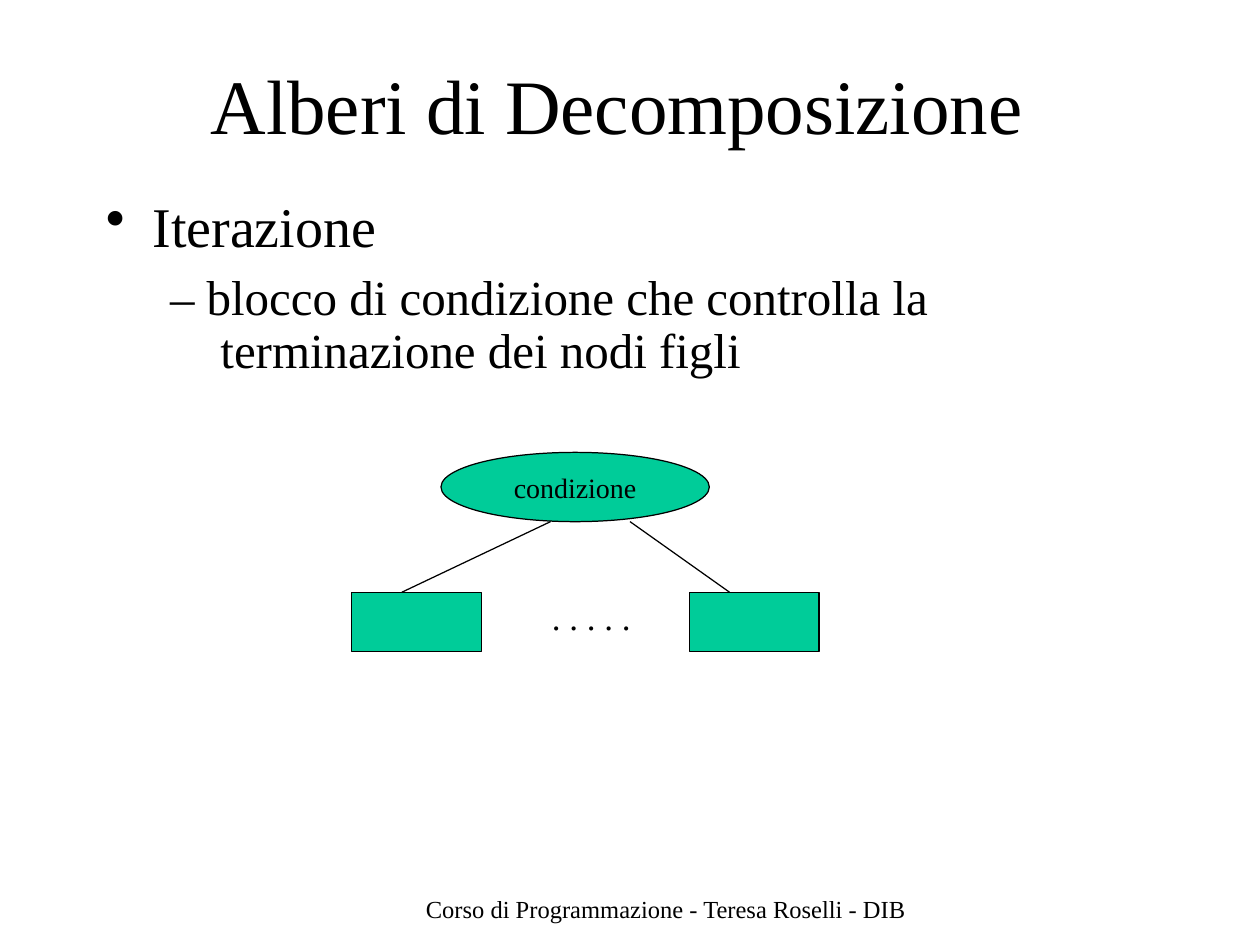
from dataclasses import dataclass

from lxml import etree
from pptx import Presentation, util as u
from pptx.dml.color import RGBColor
from pptx.enum import shapes, text
from pptx.oxml.ns import qn


@dataclass(frozen=True)
class Theme:
    """Colours, font and type sizes of the slide."""
    font: str = "Times New Roman"
    ink: RGBColor = RGBColor(0, 0, 0)
    node: RGBColor = RGBColor(0x00, 0xCC, 0x99)
    line: float = 0.72
    title: int = 44
    topic: int = 32
    detail: int = 28
    dots: int = 20
    label: int = 16
    footer: int = 14


class Deck:
    """Draws on one slide, on a grid of 100 columns by 75 rows."""

    def __init__(self, theme):
        """Start a presentation with one blank slide."""
        self.t = theme
        self.prs = Presentation()
        self.prs.slide_width, self.prs.slide_height = u.Inches(10), u.Inches(7.5)
        self.s = self.prs.slides.add_slide(self.prs.slide_layouts[6])

    def grid(self, *cells):
        """Turn column, row, column, row... into slide lengths."""
        units = self.prs.slide_width / 100, self.prs.slide_height / 75
        return [u.Emu(round(c * units[i % 2])) for i, c in enumerate(cells)]

    def frame(self, tf, wrap=False):
        """Remove the insets of a text frame and set wrapping."""
        tf.margin_left = tf.margin_right = tf.margin_top = tf.margin_bottom = 0
        tf.word_wrap = wrap

    def style(self, p, size, before=0, spacing=None):
        """Format a paragraph and its runs."""
        p.space_before = u.Pt(before)
        if spacing:
            p.line_spacing = u.Pt(spacing)
        for r in p.runs:
            r.font.name, r.font.size = self.t.font, u.Pt(size)
            r.font.color.rgb = self.t.ink

    def hang(self, p, left, first, bullet=None):
        """Give a paragraph a hanging indent in columns, and a bullet."""
        pPr = p._p.get_or_add_pPr()
        pPr.set("marL", str(self.grid(left)[0]))
        pPr.set("indent", str(self.grid(first)[0]))
        if bullet:
            etree.SubElement(pPr, qn("a:buChar")).set("char", bullet)

    def text(self, at, words, size, before=0, spacing=None):
        """Add a one-line text box."""
        tf = self.s.shapes.add_textbox(*self.grid(*at)).text_frame
        self.frame(tf)
        tf.text = words
        self.style(tf.paragraphs[0], size, before, spacing)

    def body(self, at, topic, detail):
        """Add a bulleted topic with a detail below it."""
        tf = self.s.shapes.add_textbox(*self.grid(*at)).text_frame
        self.frame(tf, wrap=True)
        tf.margin_top = self.grid(0, 0.7)[1]
        tf.text = f"{topic}\n{detail}"
        p, sub = tf.paragraphs
        self.style(p, self.t.topic, before=5.3)
        self.hang(p, 3.8, -3.7, "•")
        self.style(sub, self.t.detail, before=7.5, spacing=30.3)
        self.hang(sub, 9.2, -4)

    def node(self, kind, at, words=""):
        """Add an outlined node of the tree."""
        sp = self.s.shapes.add_shape(kind, *self.grid(*at))
        sp.shadow.inherit = False
        sp.fill.solid()
        sp.fill.fore_color.rgb = self.t.node
        sp.line.color.rgb, sp.line.width = self.t.ink, u.Pt(self.t.line)
        if words:
            tf = sp.text_frame
            self.frame(tf)
            tf.vertical_anchor = text.MSO_ANCHOR.MIDDLE
            tf.text = words
            tf.paragraphs[0].alignment = text.PP_ALIGN.CENTER
            self.style(tf.paragraphs[0], self.t.label, before=0.9)

    def branch(self, *ends):
        """Add a straight line between two grid points."""
        cx = self.s.shapes.add_connector(shapes.MSO_CONNECTOR.STRAIGHT, *self.grid(*ends))
        cx.line.color.rgb, cx.line.width = self.t.ink, u.Pt(self.t.line)
        etree.SubElement(cx._element.spPr, qn("a:effectLst"))


def main():
    """Build the slide and save it."""
    t = Theme()
    d = Deck(t)
    kind = shapes.MSO_SHAPE
    d.text((16.7, 4.6, 64.8, 7.5), "Alberi di Decomposizione", t.title, before=1.1)
    d.body((8.3, 14.5, 65.6, 15.6), "Iterazione",
           "– blocco di condizione che controlla la terminazione dei nodi figli")

    root_top, root_bottom, child_top = 35.9, 41.4, 47
    d.node(kind.OVAL, (35, root_top, 21.3, root_bottom - root_top), "condizione")
    for left, start, end in ((27.9, 43.7, 31.9), (54.7, 50, 57.9)):
        d.node(kind.RECTANGLE, (left, child_top, 10.3, 4.7))
        d.branch(start, root_bottom, end, child_top)

    d.text((43.8, 47.3, 6.5, 3.5), ". . . . .", t.dots, before=1)
    d.text((33.8, 71, 38.3, 2.4), "Corso di Programmazione - Teresa Roselli - DIB",
           t.footer, spacing=16.3)
    d.prs.save("out.pptx")


main()
